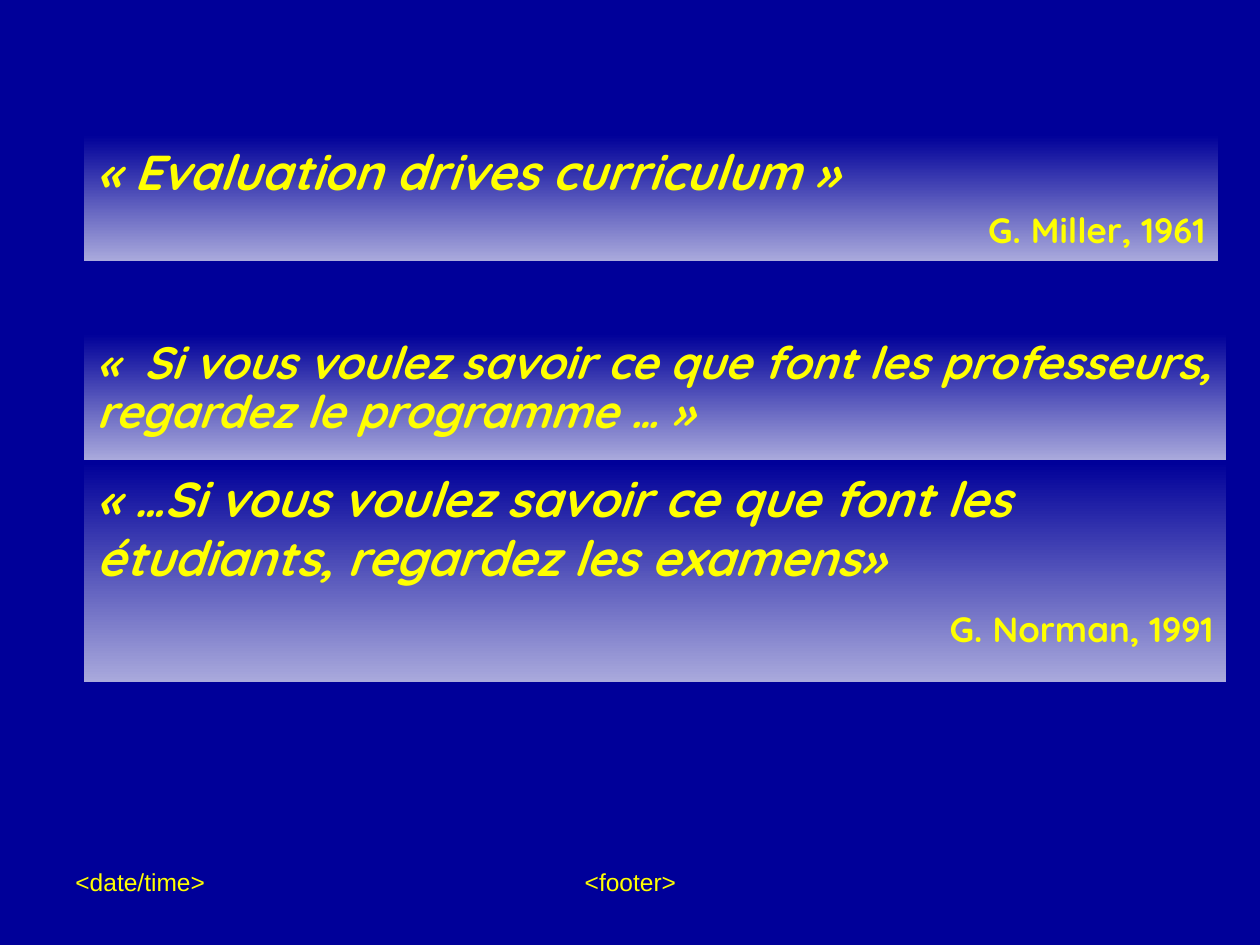
from pptx import Presentation
from pptx.dml.color import RGBColor
from pptx.enum.shapes import MSO_SHAPE as Shape
from pptx.enum.text import MSO_ANCHOR as Anchor, PP_ALIGN as Align
from pptx.util import Pt

NAVY = RGBColor(0x00, 0x00, 0x99)
LAVENDER = RGBColor(0xA9, 0xA9, 0xDC)
YELLOW = RGBColor(0xFF, 0xFF, 0x00)

QUOTES = [
    {"box": (84, 135, 1134, 126), "quote": "« Evaluation drives curriculum »",
     "size": 28, "align": Align.JUSTIFY, "author": "G. Miller, 1961", "gap": 5},
    {"box": (84, 334, 1142, 126),
     "quote": "«  Si vous voulez savoir ce que font les professeurs, regardez le programme … »",
     "size": 25.9, "spacing": 0.9},
    {"box": (84, 462, 1142, 220),
     "quote": "« …Si vous voulez savoir ce que font les étudiants, regardez les examens»",
     "size": 28, "author": "G. Norman, 1991", "gap": 12.5},
]
FOOTERS = [
    ("<footer>", (431, 861, 399, 66), Align.CENTER),
    ("<date/time>", (63, 861, 294, 66), Align.LEFT),
]


def px(value):
    return round(value * 914400 / 126)


def style(paragraph, text, font, size, align, bold=False, italic=False):
    paragraph.text = text
    paragraph.alignment = align
    for run in paragraph.runs:
        run.font.name = font
        run.font.size = Pt(size)
        run.font.bold = bold
        run.font.italic = italic
        run.font.color.rgb = YELLOW


def add_quote(slide, item):
    shape = slide.shapes.add_shape(Shape.RECTANGLE, *map(px, item["box"]))
    shape.shadow.inherit = False
    shape.line.fill.background()
    shape.fill.gradient()
    shape.fill.gradient_angle = 270
    for stop, color in zip(shape.fill.gradient_stops, (NAVY, LAVENDER)):
        stop.color.rgb = color
    frame = shape.text_frame
    frame.word_wrap = True
    frame.vertical_anchor = Anchor.TOP
    quote = frame.paragraphs[0]
    style(quote, item["quote"], "Quicksand", item["size"],
          item.get("align", Align.LEFT), bold=True, italic=True)
    quote.line_spacing = item.get("spacing", 1.0)
    if "author" in item:
        author = frame.add_paragraph()
        style(author, item["author"], "Quicksand", 20, Align.RIGHT, bold=True)
        author.space_before = Pt(item["gap"])


def add_footer(slide, text, box, align):
    frame = slide.shapes.add_textbox(*map(px, box)).text_frame
    frame.word_wrap = True
    style(frame.paragraphs[0], text, "Arial", 14, align)


def main():
    presentation = Presentation()
    presentation.slide_width, presentation.slide_height = px(1260), px(945)
    slide = presentation.slides.add_slide(presentation.slide_layouts[6])
    slide.background.fill.solid()
    slide.background.fill.fore_color.rgb = NAVY
    for footer in FOOTERS:
        add_footer(slide, *footer)
    for item in QUOTES:
        add_quote(slide, item)
    presentation.save("out.pptx")


if __name__ == "__main__":
    main()
